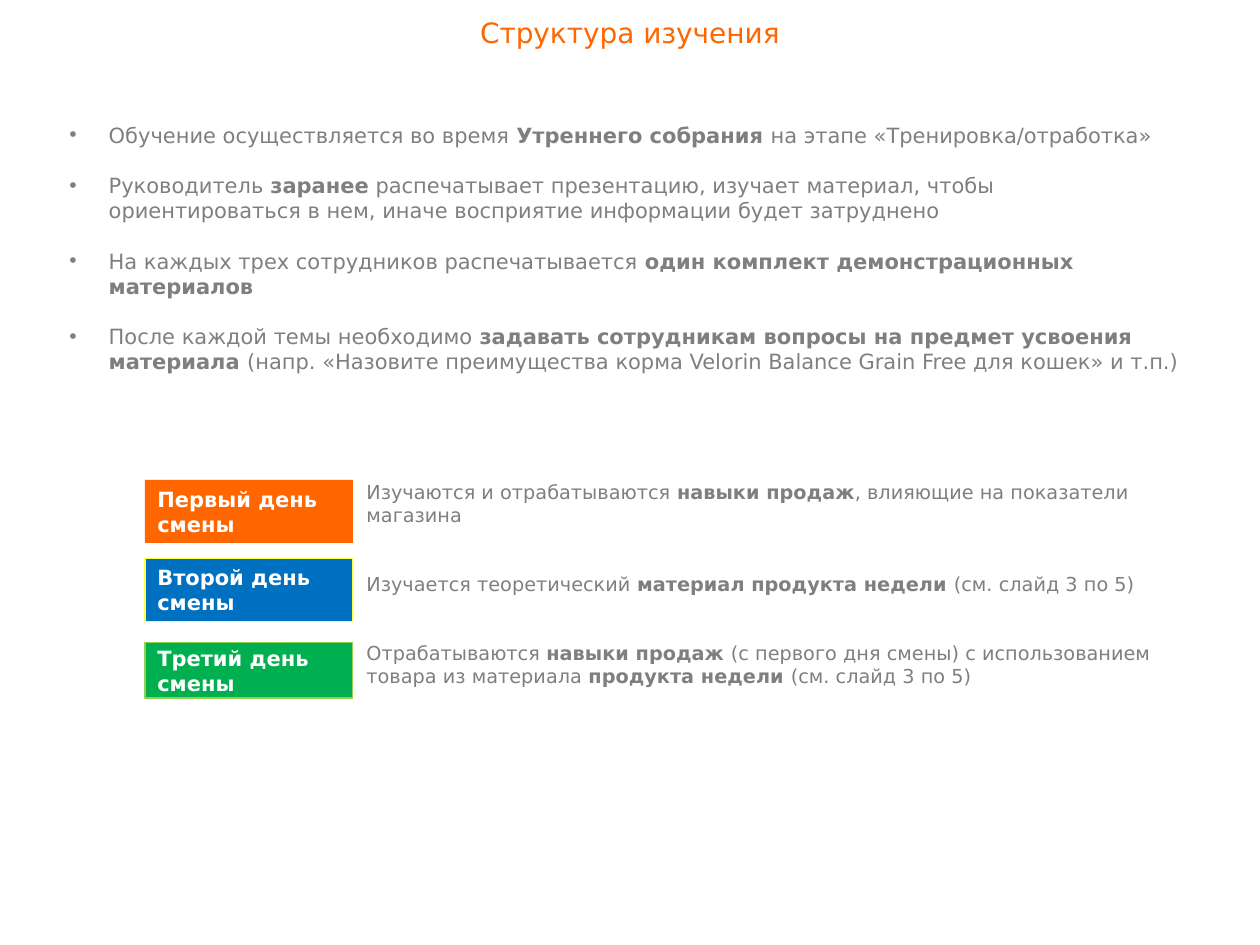
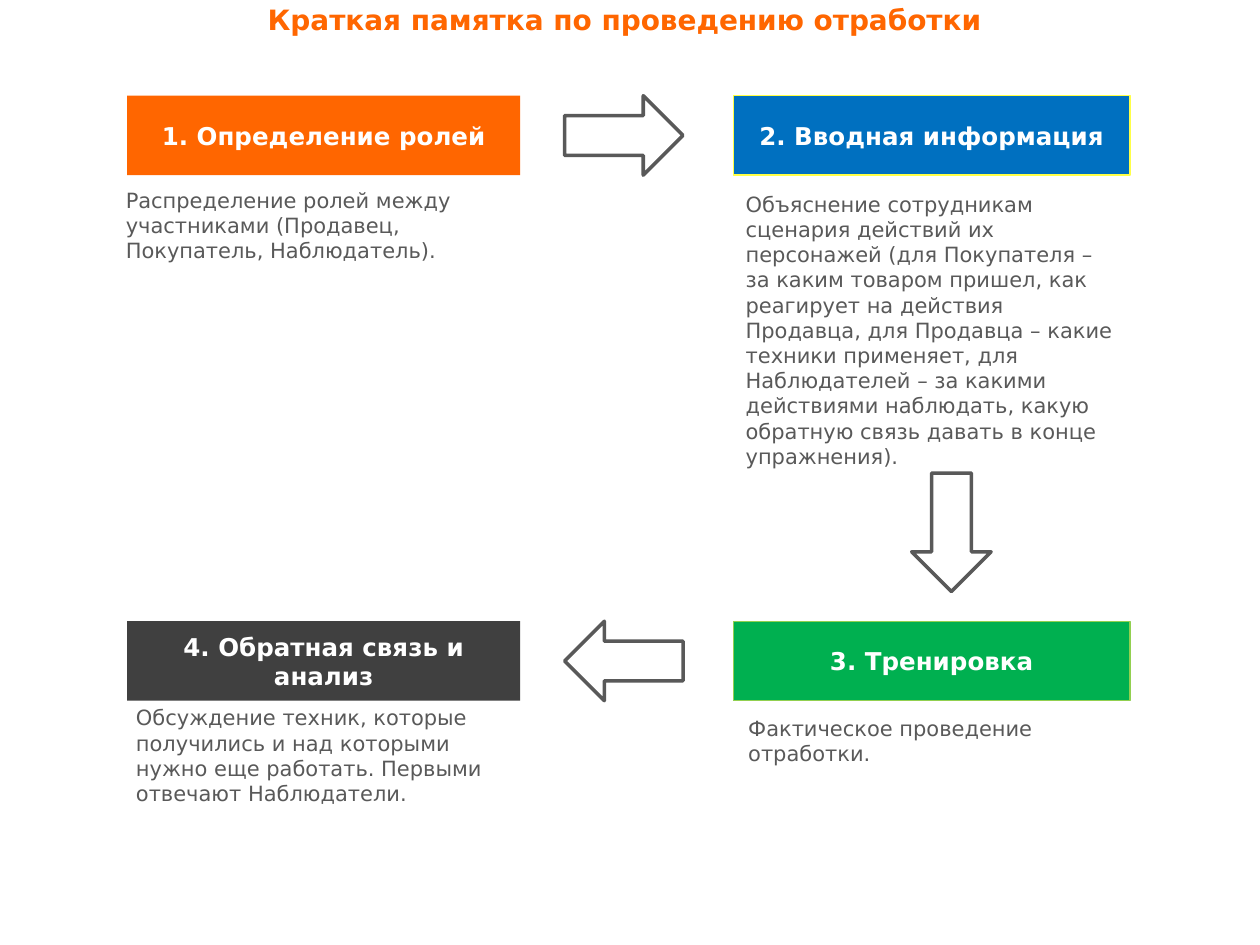
from collections import namedtuple
from dataclasses import dataclass

from pptx import Presentation
from pptx.dml.color import RGBColor as RGB
from pptx.enum.shapes import MSO_SHAPE as Shape
from pptx.enum.text import MSO_ANCHOR as Anchor, MSO_AUTO_SIZE as AutoSize, PP_ALIGN as Align
from pptx.util import Pt

Box = namedtuple("Box", "x y w h")
Block = namedtuple("Block", "text fill line")


@dataclass(frozen=True)
class Theme:
    """Colours, font and type sizes shared by the slides."""
    font: str = "DejaVu Sans"
    orange: str = "FF6600"
    blue: str = "0070C0"
    yellow: str = "FFFF47"
    green: str = "00B050"
    lime: str = "92D050"
    dark: str = "404040"
    white: str = "FFFFFF"
    grey: str = "7F7F7F"
    slate: str = "595959"
    title: int = 16
    heading: int = 14
    body: int = 12
    small: int = 11


T = Theme()

RULES = [
    "Обучение осуществляется во время **Утреннего собрания **на этапе «Тренировка/отработка»",
    "Руководитель **заранее** распечатывает презентацию, изучает материал, чтобы "
    "ориентироваться в нем, иначе восприятие информации будет затруднено",
    "На каждых трех сотрудников распечатывается **один комплект демонстрационных материалов**",
    "После каждой темы необходимо **задавать сотрудникам вопросы на предмет усвоения материала **"
    "(напр. «Назовите преимущества корма Velorin Balance Grain Free для кошек» и т.п.)",
]

DAYS = [
    (Block("Первый день смены", T.orange, None), 3.6, 36,
     "Изучаются и отрабатываются **навыки продаж**, влияющие на показатели магазина"),
    (Block("Второй день смены", T.blue, T.yellow), 48.3, 36,
     "Изучается теоретический **материал продукта недели **(см. слайд 3 по 5)"),
    (Block("Третий день смены", T.green, T.lime), 96.5, 31.7,
     "Отрабатываются **навыки продаж **(с первого дня смены) с использованием "
     "товара из материала **продукта недели **(см. слайд 3 по 5)"),
]

LEFT, RIGHT, TOP, BOTTOM = (72.7, 224.6), (419, 226.8), 54.7, 355
CARD_H = 45.4
STEPS = [
    (Block("1. Определение ролей", T.orange, None), LEFT, TOP,
     Box(-7.9, CARD_H, 232.6, 56.9), Anchor.MIDDLE,
     "Распределение ролей между участниками (Продавец, Покупатель, Наблюдатель)."),
    (Block("2. Вводная информация", T.blue, T.yellow), RIGHT, TOP,
     Box(0, 51.1, 226.8, 198.7), Anchor.TOP,
     "Объяснение сотрудникам сценария действий их персонажей (для Покупателя – за каким "
     "товаром пришел, как реагирует на действия Продавца, для Продавца – какие техники "
     "применяет, для Наблюдателей – за какими действиями наблюдать, какую обратную связь "
     "давать в конце упражнения)."),
    (Block("3. Тренировка", T.green, T.lime), RIGHT, BOTTOM,
     Box(1.5, CARD_H, 234.7, 46.1), Anchor.MIDDLE,
     "Фактическое проведение отработки."),
    (Block("4. Обратная связь и анализ", T.dark, None), LEFT, BOTTOM,
     Box(-2.1, CARD_H, 226.8, 62.6), Anchor.MIDDLE,
     "Обсуждение техник, которые получились и над которыми нужно еще работать. "
     "Первыми отвечают Наблюдатели."),
]
ARROWS = [(322.6, TOP, 0), (509.8, 281.5, 90), (322.6, BOTTOM, 180)]


def points(box):
    """Return the box as lengths in points."""
    return [Pt(v) for v in box]


def place(sp, box):
    """Move and size a shape to the box."""
    sp.left, sp.top, sp.width, sp.height = points(box)


def write(sp, texts, size, color, bold=False, align=Align.LEFT, anchor=Anchor.TOP, gap=0):
    """Write paragraphs into a shape; text between double asterisks is bold."""
    tf = sp.text_frame
    tf.word_wrap, tf.auto_size, tf.vertical_anchor = True, AutoSize.NONE, anchor
    for i, text in enumerate(texts):
        p = tf.add_paragraph() if i else tf.paragraphs[0]
        p.alignment, p.space_before = align, Pt(gap if i else 0)
        for j, part in enumerate(text.split("**")):
            if not part:
                continue
            r = p.add_run()
            r.text = part
            r.font.name, r.font.size = T.font, Pt(size)
            r.font.bold = bold or j % 2 == 1
            r.font.color.rgb = RGB.from_string(color)


def add_title(s, text, box, bold=False):
    """Format the title placeholder as the orange heading."""
    place(s.shapes.title, box)
    write(s.shapes.title, [text], T.title, T.orange, bold, Align.CENTER)


def add_text(s, box, texts, size, color, **options):
    """Add a wrapped text box."""
    write(s.shapes.add_textbox(*points(box)), texts, size, color, **options)


def add_figure(s, kind, box, fill, line, width):
    """Add a flat preset shape with an optional outline."""
    sp = s.shapes.add_shape(kind, *points(box))
    sp.shadow.inherit = False
    sp.fill.solid()
    sp.fill.fore_color.rgb = RGB.from_string(fill)
    if line:
        sp.line.color.rgb = RGB.from_string(line)
        sp.line.width = Pt(width)
    else:
        sp.line.fill.background()
    return sp


def add_block(s, box, block, size, align):
    """Add a coloured rectangle with a bold white label."""
    sp = add_figure(s, Shape.RECTANGLE, box, block.fill, block.line, 0.75)
    write(sp, [block.text], size, T.white, True, align, Anchor.MIDDLE)


def add_rules(s, box):
    """Fill the body placeholder with the bulleted rules."""
    sp = s.placeholders[1]
    place(sp, box)
    write(sp, RULES, T.body, T.grey, gap=14.4)
    for p in sp.text_frame.paragraphs:
        pPr = p._p.get_or_add_pPr()
        pPr.set("marL", str(Pt(22.5)))
        pPr.set("indent", str(Pt(-22.5)))


def add_days(s, box):
    """Place the day labels and their descriptions side by side."""
    label_w = 118.8
    notes = [note for *_, note in DAYS]
    add_text(s, Box(box.x + label_w + 0.7, box.y, box.w - label_w - 0.7, box.h),
             notes, T.small, T.grey, gap=26.3)
    for block, dy, h, _ in DAYS:
        add_block(s, Box(box.x, box.y + dy, label_w, h), block, T.body, Align.LEFT)


def add_step(s, box, block, note, anchor, text):
    """Add a step card and its note, offset from the card."""
    add_block(s, box, block, T.heading, Align.CENTER)
    add_text(s, Box(box.x + note.x, box.y + note.y, note.w, note.h),
             [text], T.body, T.slate, anchor=anchor)


def add_arrow(s, box, angle):
    """Add an outlined block arrow turned by the angle."""
    sp = add_figure(s, Shape.RIGHT_ARROW, box, T.white, T.slate, 2)
    sp.rotation = angle


def structure_slide(prs):
    """Build the slide on how the study is organised."""
    s = prs.slides.add_slide(prs.slide_layouts[1])
    add_title(s, "Структура изучения", Box(0, 5, 720, 26.6))
    add_rules(s, Box(32.4, 66.2, 651.6, 136.8))
    add_days(s, Box(82.8, 270.7, 601.2, 113))


def memo_slide(prs):
    """Build the slide with the four practice steps."""
    s = prs.slides.add_slide(prs.slide_layouts[5])
    add_title(s, "Краткая памятка по проведению отработки", Box(0, -2.2, 714, 26.6), bold=True)
    for block, (x, w), y, note, anchor, text in STEPS:
        add_step(s, Box(x, y, w, CARD_H), block, note, anchor, text)
    for x, y, angle in ARROWS:
        add_arrow(s, Box(x, y, 67.7, CARD_H), angle)


def main():
    """Build and save the presentation."""
    prs = Presentation()
    prs.slide_width, prs.slide_height = Pt(720), Pt(540)
    structure_slide(prs)
    memo_slide(prs)
    prs.save("out.pptx")


if __name__ == "__main__":
    main()
